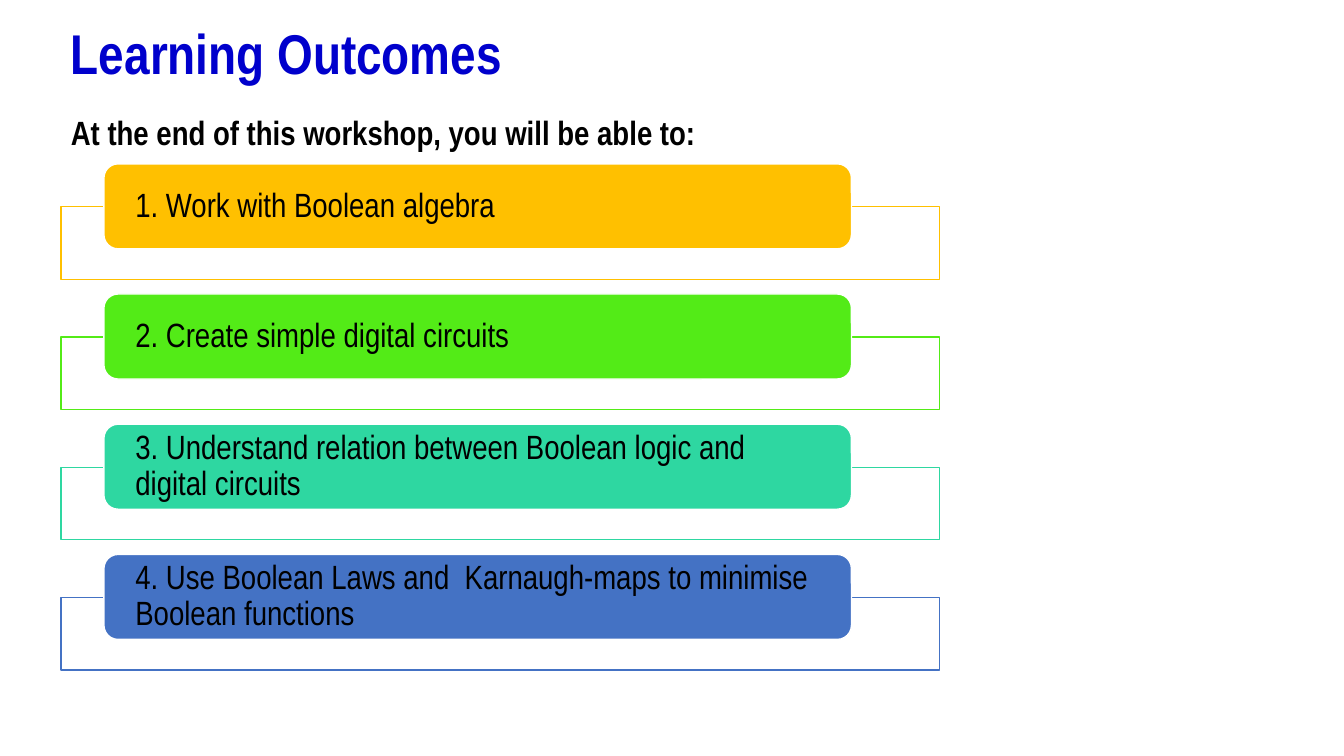
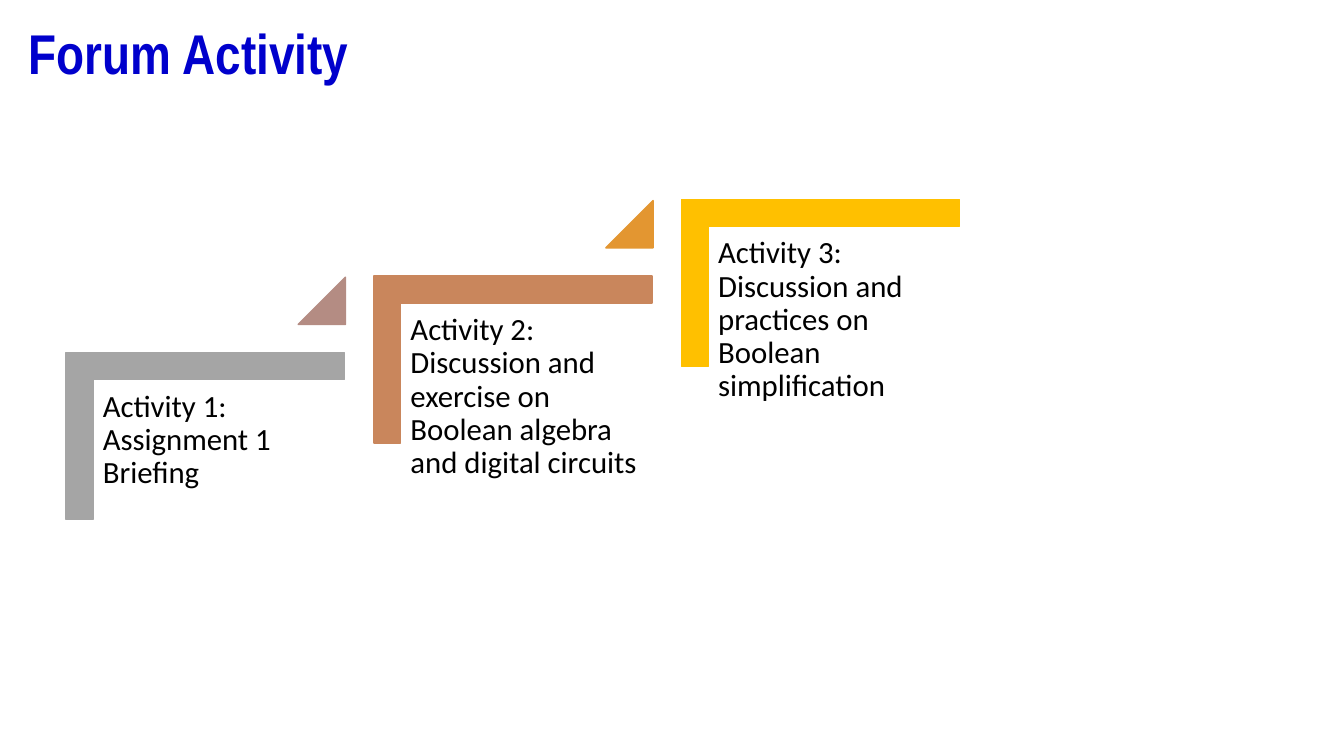
"""Build two slides: learning outcomes and forum activity."""
from dataclasses import dataclass
from typing import Any

from pptx import Presentation
from pptx.dml.color import RGBColor
from pptx.enum.shapes import MSO_SHAPE
from pptx.enum.text import MSO_ANCHOR, MSO_AUTO_SIZE, PP_ALIGN
from pptx.util import Emu, Pt

RECT = MSO_SHAPE.RECTANGLE
ROUND = MSO_SHAPE.ROUNDED_RECTANGLE
CORNER = MSO_SHAPE.CORNER
WEDGE = MSO_SHAPE.ISOSCELES_TRIANGLE
TOP, MIDDLE = MSO_ANCHOR.TOP, MSO_ANCHOR.MIDDLE
LEFT = PP_ALIGN.LEFT
FIXED = MSO_AUTO_SIZE.NONE

WHITE = RGBColor(0xFF, 0xFF, 0xFF)
BLACK = RGBColor(0x00, 0x00, 0x00)
NAVY = RGBColor(0x00, 0x00, 0xCC)
GOLD = RGBColor(0xFF, 0xC0, 0x00)
LIME = RGBColor(0x53, 0xEB, 0x17)
MINT = RGBColor(0x2E, 0xD7, 0xA1)
BLUE = RGBColor(0x44, 0x72, 0xC4)
GREY = RGBColor(0xA5, 0xA5, 0xA5)
ROSE = RGBColor(0xB4, 0x8C, 0x83)
CLAY = RGBColor(0xC9, 0x86, 0x5C)
AMBER = RGBColor(0xE3, 0x96, 0x31)

PX = 9525
WIDE, HIGH = 1280, 720
TITLE_ONLY = 5
ROW_STEP = 124
STAIR_X, STAIR_Y = 293, -73


@dataclass(frozen=True)
class Box:
    """Place and size in px."""
    x: int
    y: int
    w: int
    h: int

    def move(self, dx: int, dy: int) -> "Box":
        """Return the box shifted by dx and dy."""
        return Box(self.x + dx, self.y + dy, self.w, self.h)

    def emu(self) -> tuple[Emu, ...]:
        """Return place and size in EMU."""
        return tuple(Emu(n * PX) for n in (self.x, self.y, self.w, self.h))


@dataclass(frozen=True)
class Style:
    """Look of a text and its frame."""
    font: dict[str, Any]
    frame: dict[str, Any]
    color: RGBColor = BLACK
    space: float = 0.9


@dataclass(frozen=True)
class Goal:
    """One outcome row."""
    text: str
    color: RGBColor


@dataclass(frozen=True)
class Step:
    """One stair of the forum, with the wedge that leads on from it."""
    text: str
    color: RGBColor
    wedge: RGBColor | None = None


def inset(x: int, y: int) -> dict[str, Emu]:
    """Return frame margins in EMU."""
    return {"margin_left": Emu(x * PX), "margin_right": Emu(x * PX),
            "margin_top": Emu(y * PX), "margin_bottom": Emu(y * PX)}


BASE = {"word_wrap": True, "auto_size": FIXED, "vertical_anchor": TOP}
HEAD = Style({"name": "Arial Narrow", "size": Pt(40), "bold": True}, BASE, NAVY)
LEAD = Style({"name": "Arial Narrow", "size": Pt(24), "bold": True},
             {**BASE, "word_wrap": False}, space=1.0)
ITEM = Style({"name": "Arial Narrow", "size": Pt(24)},
             {**BASE, "vertical_anchor": MIDDLE, **inset(26, 4)})
NOTE = Style({"name": "Calibri", "size": Pt(22)}, {**BASE, **inset(9, 9)})

GOALS = (
    Goal("1. Work with Boolean algebra", GOLD),
    Goal("2. Create simple digital circuits", LIME),
    Goal("3. Understand relation between Boolean logic and digital circuits", MINT),
    Goal("4. Use Boolean Laws and  Karnaugh-maps to minimise Boolean functions", BLUE),
)
STEPS = (
    Step("Activity 1: Assignment 1 Briefing", GREY, ROSE),
    Step("Activity 2: Discussion and exercise on Boolean algebra and digital circuits",
         CLAY, AMBER),
    Step("Activity 3: Discussion and practices on Boolean simplification", GOLD),
)


def apply(item: Any, values: dict[str, Any]) -> None:
    """Set each format value on the item."""
    for name, value in values.items():
        setattr(item, name, value)


def write(shape: Any, text: str, style: Style) -> None:
    """Put styled text in a shape."""
    frame = shape.text_frame
    frame.text = text
    apply(frame, style.frame)
    para = frame.paragraphs[0]
    apply(para, {"alignment": LEFT, "line_spacing": style.space,
                 "space_before": Pt(0)})
    apply(para.font, style.font)
    para.font.color.rgb = style.color


def draw(slide: Any, kind: Any, box: Box, fill: RGBColor, line: RGBColor) -> Any:
    """Add a flat preset shape."""
    shape = slide.shapes.add_shape(kind, *box.emu())
    shape.shadow.inherit = False
    shape.fill.solid()
    shape.fill.fore_color.rgb = fill
    shape.line.color.rgb = line
    shape.line.width = Pt(1)
    return shape


def label(slide: Any, box: Box, text: str, style: Style) -> None:
    """Add a text box."""
    write(slide.shapes.add_textbox(*box.emu()), text, style)


def start(deck: Any, title: str, x: int) -> Any:
    """Add a slide with its title at x."""
    slide = deck.slides.add_slide(deck.slide_layouts[TITLE_ONLY])
    head = slide.shapes.title
    place = Box(x, 20, 782, 78).emu()
    apply(head, dict(zip(("left", "top", "width", "height"), place)))
    write(head, title, HEAD)
    return slide


def goals(deck: Any) -> None:
    """Build the outcomes slide."""
    slide = start(deck, "Learning Outcomes", 58)
    for i, goal in enumerate(GOALS):
        down = i * ROW_STEP
        draw(slide, RECT, Box(58, 197, 837, 69).move(0, down), WHITE, goal.color)
        pill = draw(slide, ROUND, Box(99, 156, 712, 81).move(0, down),
                    goal.color, WHITE)
        write(pill, goal.text, ITEM)
    label(slide, Box(58, 102, 621, 48),
          "At the end of this workshop, you will be able to:", LEAD)


def forum(deck: Any) -> None:
    """Build the forum slide."""
    slide = start(deck, "Forum Activity", 18)
    for i, step in enumerate(STEPS):
        dx, dy = i * STAIR_X, i * STAIR_Y
        stair = draw(slide, CORNER, Box(116, 283, 159, 265).move(dx, dy),
                     step.color, step.color)
        stair.rotation = 90
        for n in range(2):
            stair.adjustments[n] = 0.16
        label(slide, Box(89, 363, 240, 210).move(dx, dy), step.text, NOTE)
        if step.wedge is not None:
            wedge = draw(slide, WEDGE, Box(284, 264, 45, 45).move(dx, dy),
                         step.wedge, step.wedge)
            wedge.adjustments[0] = 1.0


def main() -> None:
    """Build and save the deck."""
    deck = Presentation()
    deck.slide_width, deck.slide_height = Emu(WIDE * PX), Emu(HIGH * PX)
    goals(deck)
    forum(deck)
    deck.save("out.pptx")


if __name__ == "__main__":
    main()
